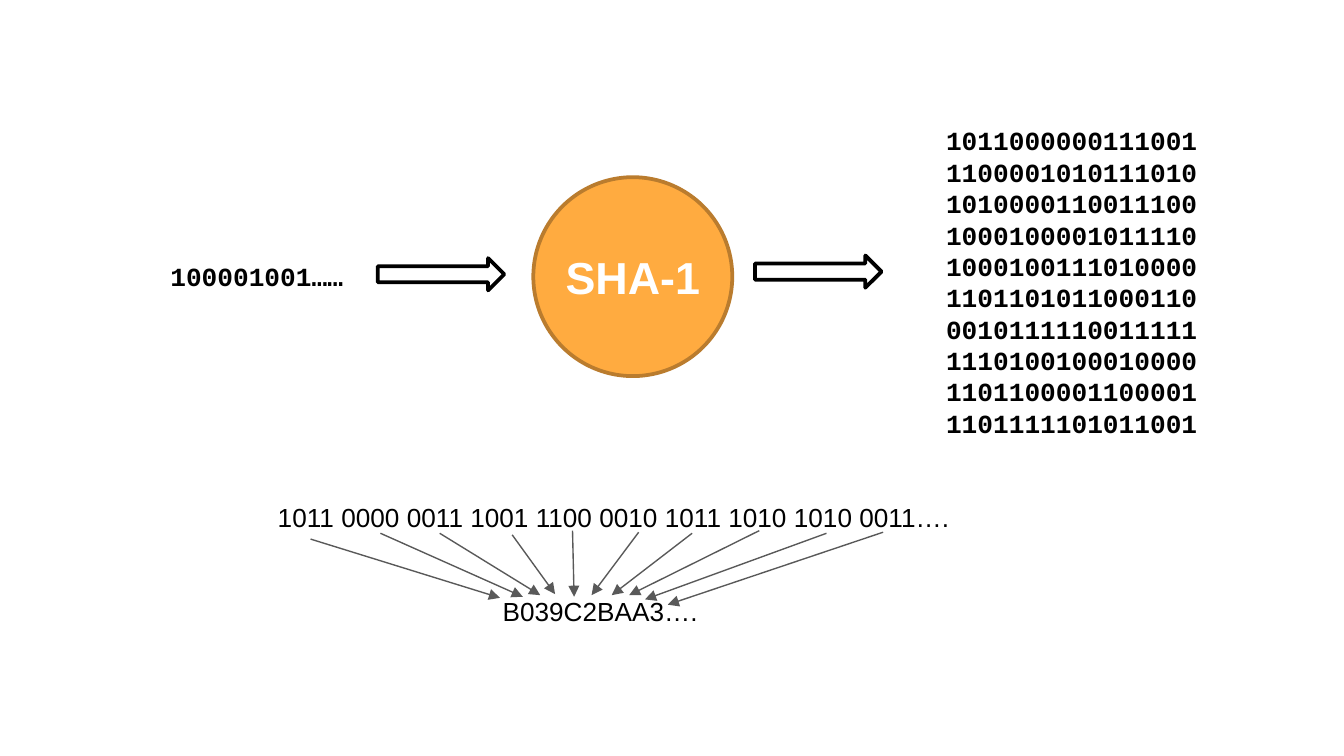
from lxml.etree import SubElement
from pptx import Presentation
from pptx.dml.color import RGBColor
from pptx.enum.shapes import MSO_CONNECTOR, MSO_SHAPE
from pptx.enum.text import MSO_ANCHOR, PP_ALIGN
from pptx.oxml.ns import qn
from pptx.util import Cm, Pt

DIGEST = [
    "1011000000111001", "1100001010111010", "1010000110011100",
    "1000100001011110", "1000100111010000", "1101101011000110",
    "0010111110011111", "1110100100010000", "1101100001100001",
    "1101111101011001",
]

# From each group of four bits to its hex digit: x1, y1, x2, y2 in cm
BIT_ARROWS = [
    (5.87, 10.19, 9.45, 11.3), (7.19, 10.08, 9.88, 11.28),
    (8.31, 10.08, 10.21, 11.25), (9.68, 10.11, 10.49, 11.23),
    (10.82, 10.03, 10.85, 11.28), (12.07, 10.06, 11.18, 11.25),
    (13.08, 10.08, 11.56, 11.25), (14.35, 10.03, 11.89, 11.25),
    (15.62, 10.08, 12.19, 11.33), (16.69, 10.06, 12.62, 11.43),
]


def rgb(color):
    return RGBColor.from_string(color)


def add_run(p, text, font, size, color="000000", bold=False):
    r = p.add_run()
    r.text = text
    r.font.name = font
    r.font.size = Pt(size)
    r.font.bold = bold
    r.font.color.rgb = rgb(color)


def set_margins(tf, x, y):
    tf.margin_left = tf.margin_right = Cm(x)
    tf.margin_top = tf.margin_bottom = Cm(y)


def add_text(s, x, y, w, h, lines, font, bold=False, margin_y=0.13):
    tf = s.shapes.add_textbox(Cm(x), Cm(y), Cm(w), Cm(h)).text_frame
    tf.word_wrap = True
    set_margins(tf, 0.25, margin_y)
    for i, line in enumerate(lines):
        p = tf.add_paragraph() if i else tf.paragraphs[0]
        p.line_spacing = Pt(16.8)
        add_run(p, line, font, 14, bold=bold)
    return tf


def add_shape(s, kind, x, y, w, h, line, fill=None):
    sp = s.shapes.add_shape(kind, Cm(x), Cm(y), Cm(w), Cm(h))
    sp.shadow.inherit = False
    if fill:
        sp.fill.solid()
        sp.fill.fore_color.rgb = rgb(fill)
    else:
        sp.fill.background()
    sp.line.color.rgb = rgb(line)
    sp.line.width = Pt(2)
    return sp


def add_arrow(s, x1, y1, x2, y2):
    c = s.shapes.add_connector(MSO_CONNECTOR.STRAIGHT, Cm(x1), Cm(y1), Cm(x2), Cm(y2))
    c.line.color.rgb = rgb("595959")
    c.line.width = Pt(0.75)
    SubElement(c.line._get_or_add_ln(), qn("a:tailEnd"), type="triangle")
    SubElement(c._element.spPr, qn("a:effectLst"))


def main():
    prs = Presentation()
    prs.slide_width, prs.slide_height = Cm(25.4), Cm(14.29)
    s = prs.slides.add_slide(prs.slide_layouts[6])

    # Hash function
    sp = add_shape(s, MSO_SHAPE.OVAL, 10.08, 3.35, 3.76, 3.76, "BA7C2E", "FFAB40")
    tf = sp.text_frame
    set_margins(tf, 0, 0)
    tf.vertical_anchor = MSO_ANCHOR.MIDDLE
    p = tf.paragraphs[0]
    p.alignment = PP_ALIGN.CENTER
    add_run(p, "SHA-1", "Arial", 24, "FFFFFF", bold=True)

    # Input and output bits
    add_text(s, 2.97, 4.8, 3.78, 0.86, ["100001001……"], "Courier New", bold=True)
    add_text(s, 17.63, 2.23, 5.28, 6.25, DIGEST, "Courier New", bold=True)
    for x, y in [(7.14, 4.88), (14.27, 4.83)]:
        add_shape(s, MSO_SHAPE.RIGHT_ARROW, x, y, 2.39, 0.61, "000000")

    # Bits grouped by four, and their hex digits
    lines = ["1011 0000 0011 1001 1100 0010 1011 1010 1010 0011….", "B039C2BAA3…."]
    tf = add_text(s, 5, 9.22, 13.41, 1.07, lines, "Arial", margin_y=0.25)
    p = tf.paragraphs[1]
    p.space_before = Pt(33.6)
    p._p.get_or_add_pPr().set("marL", str(Cm(4.25)))
    for ends in BIT_ARROWS:
        add_arrow(s, *ends)

    prs.save("out.pptx")


if __name__ == "__main__":
    main()
